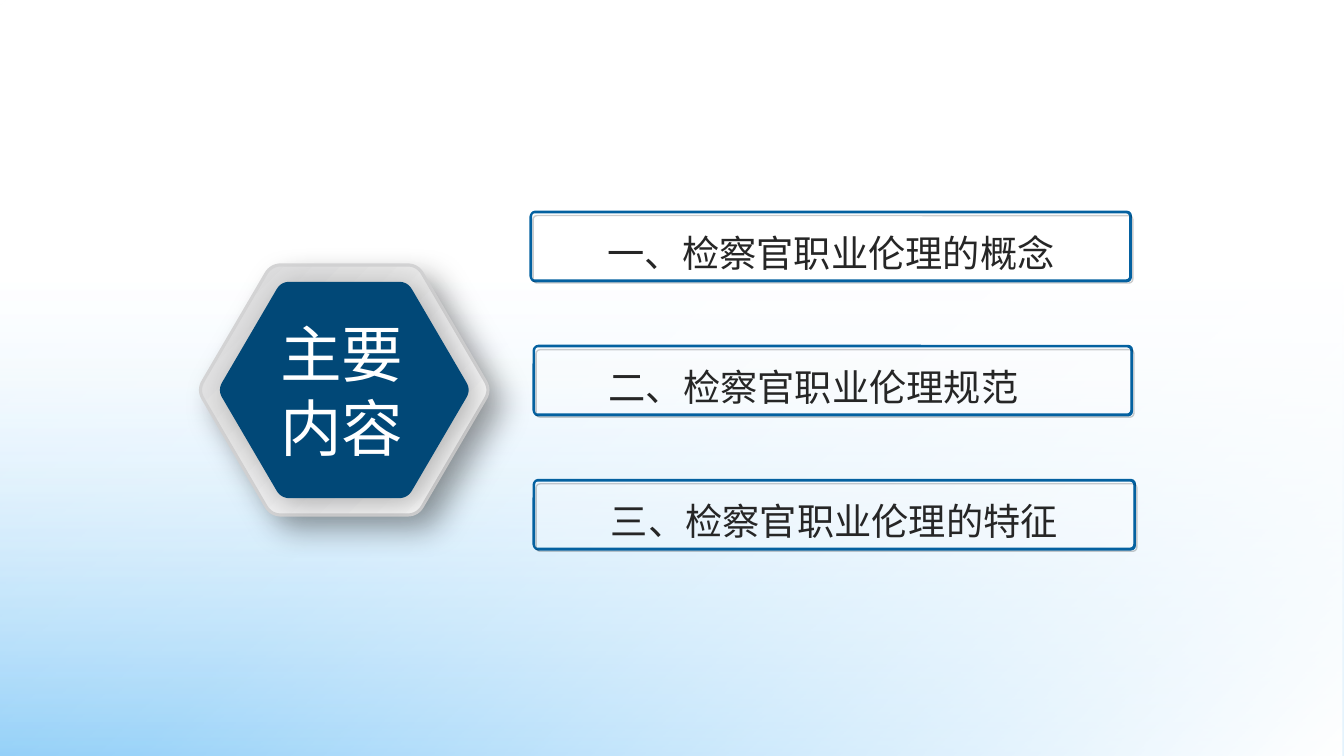
from dataclasses import dataclass
from math import cos, pi, sin

from lxml import etree
from pptx import Presentation
from pptx.dml.color import RGBColor
from pptx.enum import shapes, text
from pptx.oxml.ns import qn
from pptx.util import Pt


@dataclass(frozen=True)
class Theme:
    font: str = "Noto Sans CJK SC"
    white: str = "FFFFFF"
    sky: str = "67BDF6"
    silver: str = "D9D9DA"
    rim: str = "D4D4D5"
    navy: str = "014877"
    blue: str = "0461A0"
    ink: str = "262626"
    black: str = "000000"
    title_size: float = 44
    item_size: float = 26.6


@dataclass(frozen=True)
class Stop:
    position: int
    colour: str
    opacity: int = 100


@dataclass(frozen=True)
class Shadow:
    opacity: int
    blur: float
    distance: float


@dataclass(frozen=True)
class Item:
    wording: str
    left: float
    width: float
    text_left: float
    text_width: float


THEME = Theme()
PAGE_WIDTH, PAGE_HEIGHT = 960, 540
HEXAGON_CENTRE = (245.9, 278.6)
ITEM_TOP, ITEM_PITCH = 151.2, 95.8
ITEMS = [
    Item("一、检察官职业伦理的概念", 379.4, 428.4, 429.1, 341.3),
    Item("二、检察官职业伦理规范", 381.6, 427, 429.8, 406.1),
    Item("三、检察官职业伦理的特征", 381.6, 429.1, 431.3, 491),
]


# Fills, lines and shadows
def set_opacity(colour, percent: int) -> None:
    etree.SubElement(colour, qn("a:alpha"), val=str(percent * 1000))


def fill_solid(shape, colour: str, opacity: int = 100) -> None:
    shape.fill.solid()
    shape.fill.fore_color.rgb = RGBColor.from_string(colour)
    if opacity < 100:
        set_opacity(shape.element.spPr.find(".//" + qn("a:srgbClr")), opacity)


def fill_gradient(shape, stops: list[Stop], angle: int) -> None:
    shape.fill.background()
    properties = shape.element.spPr
    gradient = etree.Element(qn("a:gradFill"), rotWithShape="1")
    stop_list = etree.SubElement(gradient, qn("a:gsLst"))
    for stop in stops:
        mark = etree.SubElement(stop_list, qn("a:gs"), pos=str(stop.position * 1000))
        colour = etree.SubElement(mark, qn("a:srgbClr"), val=stop.colour)
        if stop.opacity < 100:
            set_opacity(colour, stop.opacity)
    etree.SubElement(gradient, qn("a:lin"), ang=str(angle * 60000), scaled="0")
    properties.replace(properties.find(qn("a:noFill")), gradient)


def set_line(shape, colour: str, width: float) -> None:
    shape.line.color.rgb = RGBColor.from_string(colour)
    shape.line.width = Pt(width)


def add_shadow(shape, shadow: Shadow) -> None:
    effects = shape.element.spPr.find(qn("a:effectLst"))
    outer = etree.SubElement(
        effects, qn("a:outerShdw"), blurRad=str(Pt(shadow.blur)),
        dist=str(Pt(shadow.distance)), dir=str(45 * 60000),
        algn="tl", rotWithShape="0")
    colour = etree.SubElement(outer, qn("a:srgbClr"), val=THEME.black)
    set_opacity(colour, shadow.opacity)


# Shapes and text
def add_box(page, kind, left: float, top: float, width: float, height: float):
    box = page.shapes.add_shape(kind, Pt(left), Pt(top), Pt(width), Pt(height))
    box.shadow.inherit = False
    return box


def add_hexagon(page, radius: float):
    """Draw a hexagon whose corners are rounded by sampled curves."""
    centre_x, centre_y = HEXAGON_CENTRE
    corners = [(centre_x + radius * cos(k * pi / 3),
                centre_y + 0.987 * radius * sin(k * pi / 3)) for k in range(6)]
    cut, steps = 0.07, 8
    points = []
    for k, (x, y) in enumerate(corners):
        before, after = corners[k - 1], corners[(k + 1) % 6]
        for step in range(steps + 1):
            t = step / steps
            back, ahead = cut * (1 - t) ** 2, cut * t ** 2
            points.append((
                Pt(x + back * (before[0] - x) + ahead * (after[0] - x)),
                Pt(y + back * (before[1] - y) + ahead * (after[1] - y))))
    builder = page.shapes.build_freeform(*points[0], scale=1.0)
    builder.add_line_segments(points[1:], close=True)
    hexagon = builder.convert_to_shape()
    hexagon.shadow.inherit = False
    return hexagon


def add_panel(page, left: float, top: float, width: float, height: float, line: float):
    panel = add_box(page, shapes.MSO_SHAPE.ROUNDED_RECTANGLE, left, top, width, height)
    panel.adjustments[0] = 0.058
    set_line(panel, THEME.blue, line)
    return panel


def write(para, wording: str, size: float, colour: str) -> None:
    para.alignment = text.PP_ALIGN.LEFT
    span = para.add_run()
    span.text = wording
    span.font.size = Pt(size)
    span.font.name = THEME.font
    span.font.color.rgb = RGBColor.from_string(colour)
    etree.SubElement(span.font._element, qn("a:ea"), typeface=THEME.font)


# Parts of the slide
def add_background(page) -> None:
    washes = [
        (90, [Stop(0, THEME.white, 0), Stop(37, THEME.white, 25), Stop(100, THEME.sky, 88)]),
        (45, [Stop(0, THEME.white, 0), Stop(42, THEME.white, 25), Stop(100, THEME.white)]),
    ]
    for angle, stops in washes:
        wash = add_box(page, shapes.MSO_SHAPE.RECTANGLE, 0, 0, PAGE_WIDTH, PAGE_HEIGHT)
        fill_gradient(wash, stops, angle)
        wash.line.fill.background()


def add_badge(page) -> None:
    rim = add_hexagon(page, 104.5)
    fill_gradient(rim, [Stop(0, THEME.silver), Stop(100, THEME.white)], 45)
    set_line(rim, THEME.rim, 2.25)
    add_shadow(rim, Shadow(35, 22, 13))
    core = add_hexagon(page, 90.4)
    fill_solid(core, THEME.navy)
    core.line.fill.background()
    add_shadow(core, Shadow(28, 22, 6))

    title = page.shapes.title
    title.left, title.top, title.width, title.height = Pt(193), Pt(221.8), Pt(123.1), Pt(113.8)
    frame = title.text_frame
    frame.word_wrap = True
    frame.auto_size = text.MSO_AUTO_SIZE.SHAPE_TO_FIT_TEXT
    frame.vertical_anchor = text.MSO_ANCHOR.TOP
    write(frame.paragraphs[0], "主要内容", THEME.title_size, THEME.white)
    title.element.getparent().append(title.element)  # bring in front of the badge


def add_item(page, item: Item, top: float) -> None:
    panel = add_panel(page, item.left, top, item.width, 49.7, 1.5)
    fill_solid(panel, THEME.white, 24)
    edge = add_panel(page, item.left - 0.7, top + 0.7, item.width, 48.2, 1)
    edge.fill.background()
    add_shadow(edge, Shadow(20, 0, 3))

    box = page.shapes.add_textbox(
        Pt(item.text_left), Pt(top - 0.7), Pt(item.text_width), Pt(49))
    frame = box.text_frame
    frame.word_wrap = True
    frame.auto_size = text.MSO_AUTO_SIZE.SHAPE_TO_FIT_TEXT
    frame.vertical_anchor = text.MSO_ANCHOR.MIDDLE
    frame.margin_left = frame.margin_right = Pt(5)
    frame.margin_top = frame.margin_bottom = Pt(2.9)
    para = frame.paragraphs[0]
    para.line_spacing = 1.35
    write(para, item.wording, THEME.item_size, THEME.ink)


def main() -> None:
    deck = Presentation()
    deck.slide_width, deck.slide_height = Pt(PAGE_WIDTH), Pt(PAGE_HEIGHT)
    page = deck.slides.add_slide(deck.slide_layouts.get_by_name("Title Only"))
    add_background(page)
    add_badge(page)
    for row, item in enumerate(ITEMS):
        add_item(page, item, ITEM_TOP + row * ITEM_PITCH)
    deck.save("out.pptx")


if __name__ == "__main__":
    main()
